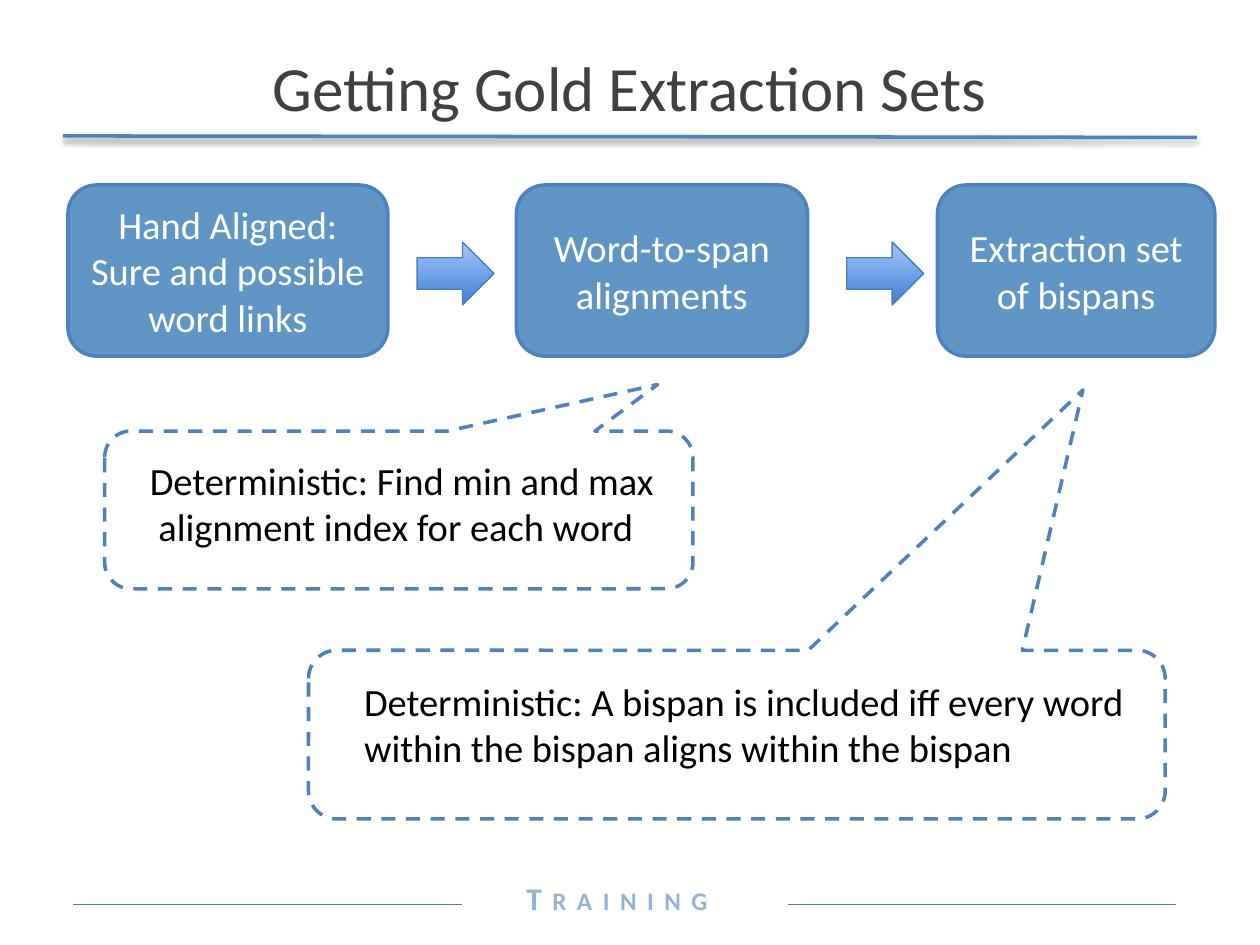
from dataclasses import dataclass

from lxml import etree
from pptx import Presentation
from pptx.dml.color import RGBColor
from pptx.enum import dml, shapes, text
from pptx.oxml import ns
from pptx.util import Cm, Pt


@dataclass(frozen=True)
class Theme:
    font: str = "Calibri"
    title: str = "404040"
    body: str = "000000"
    white: str = "FFFFFF"
    footer: str = "95B3D7"
    step: str = "6195C5"
    border: str = "4F81BD"
    thin: str = "4B7EBC"
    arrow_bottom: str = "3F80CE"
    arrow_top: str = "A4C4FF"
    title_size: float = 36
    body_size: float = 22
    footer_size: float = 18
    thick_width: float = 2
    thin_width: float = 0.75


@dataclass(frozen=True)
class Area:
    """Left, top, width and height in centimetres."""
    left: float
    top: float
    width: float
    height: float

    def lengths(self) -> tuple:
        return Cm(self.left), Cm(self.top), Cm(self.width), Cm(self.height)


@dataclass(frozen=True)
class Step:
    label: str
    left: float
    width: float


@dataclass(frozen=True)
class Callout:
    bubble: Area
    pointer: tuple
    note: Area
    lines: tuple


THEME = Theme()
STEP_TOP, STEP_HEIGHT = 3.73, 3.45
ARROW_WIDTH, ARROW_HEIGHT = 1.55, 1.27

STEPS = (
    Step("Hand Aligned: Sure and possible word links", 1.37, 6.45),
    Step("Word-to-span alignments", 10.41, 5.87),
    Step("Extraction set of bispans", 18.9, 5.59),
)
ARROW_LEFTS = (8.41, 17.07)
CALLOUTS = (
    Callout(Area(6.22, 13.11, 17.27, 3.4), (0.404, -2.044, 0.167),
            Area(7.09, 13.54, 15.88, 2.13),
            ("Deterministic: A bispan is included iff every word "
             "within the bispan aligns within the bispan",)),
    Callout(Area(2.11, 8.69, 11.86, 3.18), (0.44, -0.795, 0.167),
            Area(2.77, 9.09, 15.24, 2.13),
            ("Deterministic: Find min and max", " alignment index for each word")),
)


def colour(value: str) -> RGBColor:
    return RGBColor.from_string(value)


def write(box, *lines: str, size: float = THEME.body_size, ink: str = THEME.body,
          align=text.PP_ALIGN.LEFT, anchor=text.MSO_ANCHOR.TOP,
          bold: bool = False, wrap: bool = True) -> list:
    """Fill a box with one paragraph per line and return the spans."""
    frame = box.text_frame
    frame.word_wrap = wrap
    frame.vertical_anchor = anchor
    spans = []
    for index, line in enumerate(lines):
        para = frame.add_paragraph() if index else frame.paragraphs[0]
        para.alignment = align
        span = para.add_run()
        span.text = line
        span.font.name = THEME.font
        span.font.size = Pt(size)
        span.font.bold = bold
        span.font.color.rgb = colour(ink)
        spans.append(span)
    return spans


def add_text(page, area: Area, *lines: str, **style) -> list:
    return write(page.shapes.add_textbox(*area.lengths()), *lines, **style)


def add_shape(page, kind, area: Area, fill: str, border: str, width: float):
    shape = page.shapes.add_shape(kind, *area.lengths())
    shape.shadow.inherit = False
    shape.fill.solid()
    shape.fill.fore_color.rgb = colour(fill)
    shape.line.color.rgb = colour(border)
    shape.line.width = Pt(width)
    return shape


def add_rule(page, start: tuple, end: tuple, ink: str, width: float,
             shadow: bool = False) -> None:
    rule = page.shapes.add_connector(shapes.MSO_CONNECTOR.STRAIGHT,
                                     *(Cm(value) for value in start + end))
    rule.line.color.rgb = colour(ink)
    rule.line.width = Pt(width)
    effects = etree.SubElement(rule._element.spPr, ns.qn("a:effectLst"))
    if shadow:
        outer = etree.SubElement(effects, ns.qn("a:outerShdw"), blurRad=str(Pt(3.1)),
                                 dist=str(Pt(1.6)), dir="5400000", rotWithShape="0")
        tint = etree.SubElement(outer, ns.qn("a:srgbClr"), val="000000")
        etree.SubElement(tint, ns.qn("a:alpha"), val="38000")


def add_step(page, step: Step) -> None:
    box = add_shape(page, shapes.MSO_SHAPE.FLOWCHART_ALTERNATE_PROCESS,
                    Area(step.left, STEP_TOP, step.width, STEP_HEIGHT),
                    THEME.step, THEME.border, THEME.thick_width)
    write(box, step.label, ink=THEME.white, align=text.PP_ALIGN.CENTER,
          anchor=text.MSO_ANCHOR.MIDDLE)


def add_arrow(page, left: float) -> None:
    top = STEP_TOP + (STEP_HEIGHT - ARROW_HEIGHT) / 2 + 0.06
    arrow = add_shape(page, shapes.MSO_SHAPE.RIGHT_ARROW,
                      Area(left, top, ARROW_WIDTH, ARROW_HEIGHT),
                      THEME.arrow_top, THEME.thin, THEME.thin_width)
    arrow.fill.gradient()
    arrow.fill.gradient_angle = 90
    for stop, ink in zip(arrow.fill.gradient_stops, (THEME.arrow_bottom, THEME.arrow_top)):
        stop.color.rgb = colour(ink)
    arrow.fill.gradient_stops[0].position = 0
    arrow.fill.gradient_stops[1].position = 1


def add_callout(page, callout: Callout) -> None:
    bubble = add_shape(page, shapes.MSO_SHAPE.ROUNDED_RECTANGULAR_CALLOUT, callout.bubble,
                       THEME.white, THEME.border, THEME.thick_width)
    bubble.line.dash_style = dml.MSO_LINE.DASH
    for index, value in enumerate(callout.pointer):
        bubble.adjustments[index] = value
    add_text(page, callout.note, *callout.lines)


def main() -> None:
    deck = Presentation()
    deck.slide_width, deck.slide_height = Cm(25.4), Cm(19.05)
    page = deck.slides.add_slide(deck.slide_layouts[6])

    # Title and its rule
    add_rule(page, (1.27, 2.74), (24.13, 2.77), THEME.border, THEME.thick_width, shadow=True)
    add_text(page, Area(1.9, 0.76, 21.6, 1.98), "Getting Gold Extraction Sets",
             size=THEME.title_size, ink=THEME.title, align=text.PP_ALIGN.CENTER,
             anchor=text.MSO_ANCHOR.MIDDLE)

    # Footer label between two rules
    (label,) = add_text(page, Area(10.36, 17.6, 4.57, 1.02), "Training",
                        size=THEME.footer_size, ink=THEME.footer, bold=True,
                        align=text.PP_ALIGN.CENTER, wrap=False)
    label.font._element.set("cap", "small")
    label.font._element.set("spc", "600")
    for left, right in ((1.47, 9.32), (15.88, 23.7)):
        add_rule(page, (left, 18.24), (right, 18.24), THEME.thin, THEME.thin_width)

    # Process steps and arrows
    for step in STEPS:
        add_step(page, step)
    for left in ARROW_LEFTS:
        add_arrow(page, left)

    # Explanations
    for callout in CALLOUTS:
        add_callout(page, callout)

    deck.save("out.pptx")


if __name__ == "__main__":
    main()
